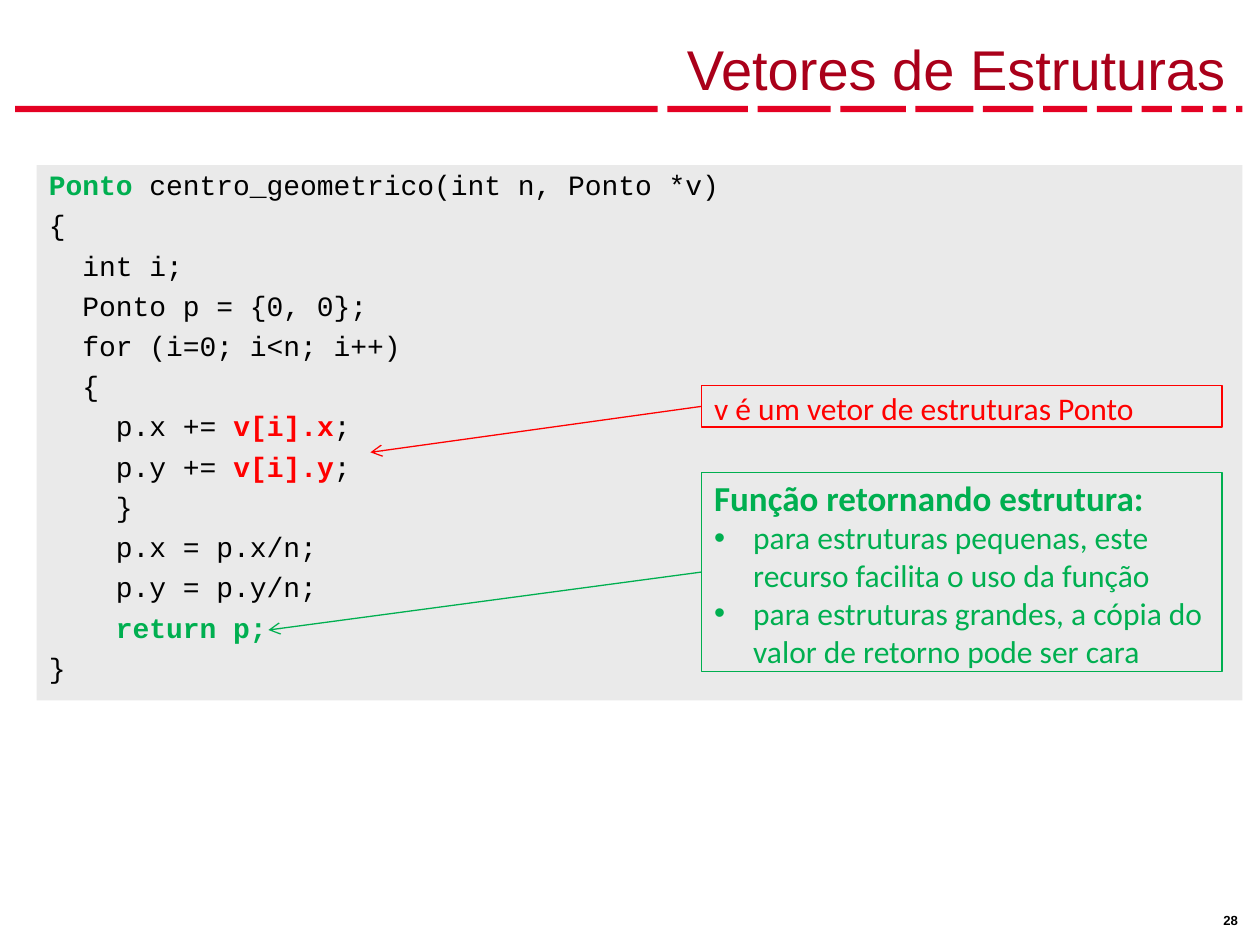
from lxml.etree import SubElement
from pptx import Presentation
from pptx.dml.color import RGBColor
from pptx.enum.shapes import MSO_CONNECTOR, MSO_SHAPE
from pptx.enum.text import MSO_ANCHOR, PP_ALIGN
from pptx.oxml.ns import qn
from pptx.util import Inches, Pt

BLACK = RGBColor(0x00, 0x00, 0x00)
CRIMSON = RGBColor(0xE4, 0x01, 0x23)
DARK_RED = RGBColor(0xAA, 0x00, 0x1A)
RED = RGBColor(0xFF, 0x00, 0x00)
GREEN = RGBColor(0x00, 0xAF, 0x50)
GRAY = RGBColor(0xEA, 0xEA, 0xEA)

# Content
TITLE = "Vetores de Estruturas"
PAGE_NUMBER = "28"
# Each code line is a list of (text, highlight colour or None)
CODE = [
    [("Ponto", GREEN), (" centro_geometrico(int n, Ponto *v)", None)],
    [("{", None)],
    [("  int i;", None)],
    [("  Ponto p = {0, 0};", None)],
    [("  for (i=0; i<n; i++)", None)],
    [("  {", None)],
    [("    p.x += ", None), ("v[i].x", RED), (";", None)],
    [("    p.y += ", None), ("v[i].y", RED), (";", None)],
    [("    }", None)],
    [("    p.x = p.x/n;", None)],
    [("    p.y = p.y/n;", None)],
    [("    return p;", GREEN)],
    [("}", None)],
]
# Paragraphs are (text, size, bold, bulleted)
CALLOUTS = [
    {"color": GREEN, "top": 3.75, "height": 1.58, "target": (2.13, 5.0),
     "paragraphs": [
         ("Função retornando estrutura:", 20, True, False),
         ("para estruturas pequenas, este recurso facilita o uso da função", 18, False, True),
         ("para estruturas grandes, a cópia do valor de retorno pode ser cara", 18, False, True)]},
    {"color": RED, "top": 3.06, "height": 0.33, "target": (2.94, 3.59),
     "paragraphs": [("v é um vetor de estruturas Ponto", 18, False, False)]},
]
DASH_WIDTHS = [5.1, 0.64, 0.58, 0.52, 0.46, 0.4, 0.35, 0.28, 0.24, 0.17, 0.11, 0.05]
DASH_LEFT, DASH_RIGHT = 0.12, 9.86
CALLOUT_LEFT, CALLOUT_WIDTH = 5.57, 4.13


def set_font(font, name, size, color, bold=False):
    font.name, font.size, font.bold = name, Pt(size), bold
    font.color.rgb = color


def set_frame(frame, left=0, top=0, right=0, bottom=0, anchor=MSO_ANCHOR.TOP):
    frame.margin_left, frame.margin_top = Inches(left), Inches(top)
    frame.margin_right, frame.margin_bottom = Inches(right), Inches(bottom)
    frame.vertical_anchor = anchor
    frame.word_wrap = True


def add_bullet(paragraph):
    properties = paragraph._p.get_or_add_pPr()
    properties.set("marL", str(Inches(0.31)))
    properties.set("indent", str(-Inches(0.31)))
    SubElement(properties, qn("a:buFont"), typeface="Arial")
    SubElement(properties, qn("a:buChar"), char="•")


def add_rectangle(slide, left, top, width, height, fill, line=None):
    shape = slide.shapes.add_shape(
        MSO_SHAPE.RECTANGLE, Inches(left), Inches(top), Inches(width), Inches(height))
    shape.shadow.inherit = False
    shape.fill.solid()
    shape.fill.fore_color.rgb = fill
    if line is None:
        shape.line.fill.background()
    else:
        shape.line.color.rgb = line
        shape.line.width = Pt(0.75)
    return shape


def add_callout(slide, color, top, height, target, paragraphs):
    box = add_rectangle(slide, CALLOUT_LEFT, top, CALLOUT_WIDTH, height, GRAY, color)
    frame = box.text_frame
    set_frame(frame, left=0.1, top=0.03)
    for index, (text, size, bold, bulleted) in enumerate(paragraphs):
        paragraph = frame.paragraphs[0] if index == 0 else frame.add_paragraph()
        paragraph.text = text
        paragraph.alignment = PP_ALIGN.LEFT
        if bulleted:
            add_bullet(paragraph)
        set_font(paragraph.font, "Calibri", size, color, bold)

    # Arrow from the callout to the code it explains
    arrow = slide.shapes.add_connector(
        MSO_CONNECTOR.STRAIGHT, 0, 0, Inches(target[0]), Inches(target[1]))
    arrow.begin_connect(box, 1)
    arrow.line.color.rgb = color
    arrow.line.width = Pt(0.75)
    SubElement(arrow.line._get_or_add_ln(), qn("a:tailEnd"), type="arrow", w="med", len="med")
    SubElement(arrow._element.spPr, qn("a:effectLst"))


def main():
    presentation = Presentation()
    presentation.slide_width, presentation.slide_height = Inches(10), Inches(7.5)
    slide = presentation.slides.add_slide(presentation.slide_layouts[5])

    # Dashed rule under the title
    gap = (DASH_RIGHT - DASH_LEFT - sum(DASH_WIDTHS)) / (len(DASH_WIDTHS) - 1)
    left = DASH_LEFT
    for width in DASH_WIDTHS:
        add_rectangle(slide, left, 0.84, width, 0.05, CRIMSON)
        left += width + gap

    # Title
    title = slide.shapes.title
    title.left, title.top = Inches(0.31), Inches(0.08)
    title.width, title.height = Inches(9.42), Inches(0.73)
    title.text_frame.text = TITLE
    set_frame(title.text_frame, anchor=MSO_ANCHOR.BOTTOM)
    paragraph = title.text_frame.paragraphs[0]
    paragraph.alignment = PP_ALIGN.RIGHT
    set_font(paragraph.font, "Arial", 32, DARK_RED)

    # Code panel
    panel = add_rectangle(slide, 0.29, 1.31, 9.57, 4.25, GRAY)
    set_frame(panel.text_frame, left=0.1, top=0.02)
    for index, line in enumerate(CODE):
        if index == 0:
            paragraph = panel.text_frame.paragraphs[0]
        else:
            paragraph = panel.text_frame.add_paragraph()
            paragraph.space_before = Pt(3.8)
        paragraph.alignment = PP_ALIGN.LEFT
        set_font(paragraph.font, "Courier New", 16, BLACK)
        for text, highlight in line:
            run = paragraph.add_run()
            run.text = text
            if highlight is not None:
                run.font.bold = True
                run.font.color.rgb = highlight

    # Callouts
    for callout in CALLOUTS:
        add_callout(slide, **callout)

    # Page number
    number = slide.shapes.add_textbox(Inches(9.63), Inches(7.2), Inches(0.33), Inches(0.2))
    set_frame(number.text_frame, 0.08, 0.04, 0.08, 0.04)
    number.text_frame.text = PAGE_NUMBER
    set_font(number.text_frame.paragraphs[0].font, "Arial", 7.5, BLACK, True)

    presentation.save("out.pptx")


if __name__ == "__main__":
    main()
